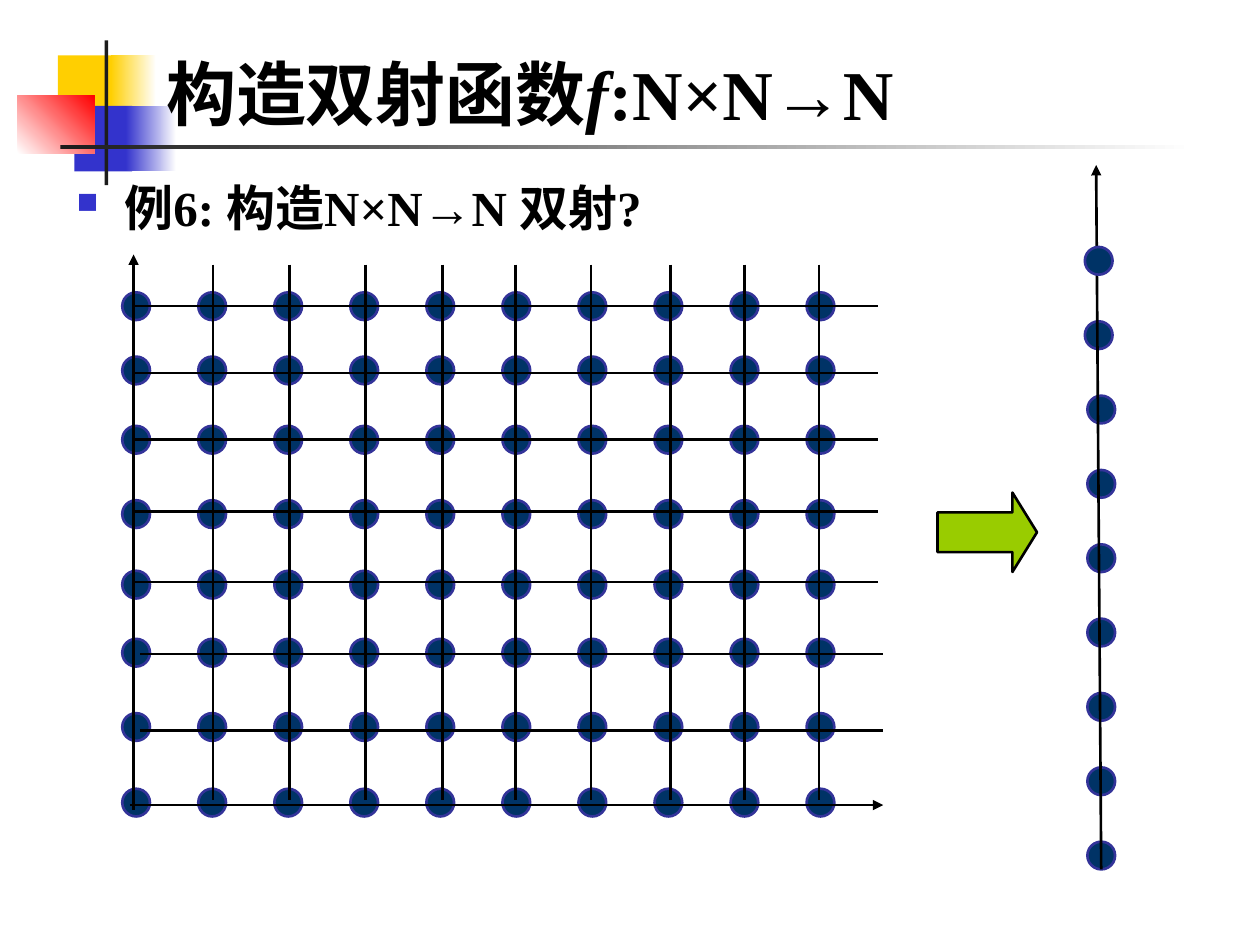
"""Build a slide on constructing a bijection from N×N to N."""
import dataclasses
import itertools
import typing

import lxml.etree
import pptx
import pptx.dml.color
import pptx.enum.shapes
import pptx.enum.text
import pptx.oxml.ns
import pptx.util

Inches = pptx.util.Inches
Pt = pptx.util.Pt
RGB = pptx.dml.color.RGBColor.from_string
qn = pptx.oxml.ns.qn
MSO = pptx.enum.shapes.MSO_SHAPE
Shapes = typing.Any


@dataclasses.dataclass(frozen=True)
class Theme:
    font: str = "Times New Roman"
    title_size: float = 40
    body_size: float = 28
    line_width: float = 1.5
    ink: str = "000000"
    white: str = "FFFFFF"
    yellow: str = "FFCF01"
    blue: str = "3333CC"
    red: str = "FF0000"
    bar: str = "1C1C1C"
    dot: str = "003366"
    dot_edge: str = "333399"
    arrow: str = "99CC00"


class Block(typing.NamedTuple):
    left: float
    top: float
    width: float
    height: float
    colors: tuple[str, ...]
    angle: float = 0


class Segment(typing.NamedTuple):
    x1: float
    y1: float
    x2: float
    y2: float
    arrow: bool = False


class Piece(typing.NamedTuple):
    text: str
    italic: bool = False


THEME = Theme()
DOT_SIZE = 0.22
COLUMNS = [1.08 + 0.6035 * i for i in range(10)]
ROWS = [2.43, 2.94, 3.49, 4.08, 4.64, 5.18, 5.77, 6.37]

DECORATION = [
    Block(0.46, 0.44, 0.48, 0.52, (THEME.yellow,)),
    Block(0.88, 0.44, 0.36, 0.52, (THEME.yellow, THEME.white)),
    Block(0.59, 0.84, 0.46, 0.52, (THEME.blue,)),
    Block(1, 0.84, 0.4, 0.52, (THEME.blue, THEME.white)),
    Block(0.14, 0.76, 0.61, 0.46, (THEME.white, THEME.red), 45),
    Block(0.83, 0.32, 0.03, 1.15, (THEME.bar,)),
    Block(0.48, 1.15, 9, 0.03, (THEME.bar, THEME.white)),
]
AXES = [Segment(1.06, 6.43, 1.06, 2.02, True), Segment(1.03, 6.39, 7.01, 6.39, True)]
HORIZONTALS = [Segment(1.11, y, 7.01, y) for y in (5.8, 5.19)] + [
    Segment(1.06, y, 6.97, y) for y in (4.62, 4.06, 3.49, 2.96, 2.43)
]
VERTICALS = [
    Segment(x, 2.1, x, 6.35) for x in (1.69, 2.3, 2.9, 3.51, 4.09, 4.69, 5.32, 5.91, 6.5)
]
NUMBER_LINE = Segment(8.74, 6.9, 8.7, 1.31, True)


def set_all(target: typing.Any, values: dict[str, typing.Any]) -> None:
    for name, value in values.items():
        setattr(target, name, value)


def add_figure(shapes: Shapes, kind: MSO, block: Block, edge: str | None = None) -> typing.Any:
    sp = shapes.add_shape(kind, *map(Inches, block[:4]))
    sp.shadow.inherit = False
    if len(block.colors) == 1:
        sp.fill.solid()
        sp.fill.fore_color.rgb = RGB(block.colors[0])
    else:
        sp.fill.gradient()
        sp.fill.gradient_angle = block.angle
        for stop, color in zip(sp.fill.gradient_stops, block.colors):
            stop.color.rgb = RGB(color)
    if edge:
        sp.line.color.rgb = RGB(edge)
        sp.line.width = Pt(THEME.line_width)
    else:
        sp.line.fill.background()
    return sp


def add_dot(shapes: Shapes, x: float, y: float) -> None:
    r = DOT_SIZE / 2
    block = Block(x - r, y - r, DOT_SIZE, DOT_SIZE, (THEME.dot,))
    add_figure(shapes, MSO.OVAL, block, THEME.dot_edge)


def add_segment(shapes: Shapes, segment: Segment) -> None:
    kind = pptx.enum.shapes.MSO_CONNECTOR.STRAIGHT
    cx = shapes.add_connector(kind, *map(Inches, segment[:4]))
    cx.line.color.rgb = RGB(THEME.ink)
    cx.line.width = Pt(THEME.line_width)
    spPr = cx._element.spPr
    if segment.arrow:
        lxml.etree.SubElement(spPr.find(qn("a:ln")), qn("a:tailEnd"), type="triangle")
    lxml.etree.SubElement(spPr, qn("a:effectLst"))


def add_text(shapes: Shapes, box: tuple[float, ...], pieces: list[Piece], size: float,
             anchor: str) -> typing.Any:
    tf = shapes.add_textbox(*map(Inches, box)).text_frame
    set_all(tf, {"word_wrap": True,
                 "vertical_anchor": pptx.enum.text.MSO_ANCHOR[anchor]})
    p = tf.paragraphs[0]
    for piece in pieces:
        r = p.add_run()
        r.text = piece.text
        set_all(r.font, {"name": THEME.font, "size": Pt(size), "bold": True,
                         "italic": piece.italic})
        r.font.color.rgb = RGB(THEME.ink)
    return p


def add_bullet(p: typing.Any) -> None:
    set_all(p, {"line_spacing": 1.1, "space_before": Pt(7)})
    pPr = p._p.get_or_add_pPr()
    pPr.set("marL", str(Inches(0.38)))
    pPr.set("indent", str(Inches(-0.38)))
    color = lxml.etree.SubElement(pPr, qn("a:buClr"))
    lxml.etree.SubElement(color, qn("a:srgbClr"), val=THEME.blue)
    lxml.etree.SubElement(pPr, qn("a:buSzPct"), val="60000")
    lxml.etree.SubElement(pPr, qn("a:buChar"), char="■")


def main() -> None:
    prs = pptx.Presentation()
    set_all(prs, {"slide_width": Inches(10), "slide_height": Inches(7.5)})
    s = prs.slides.add_slide(prs.slide_layouts[6])

    for block in DECORATION:
        add_figure(s.shapes, MSO.RECTANGLE, block)
    title = [Piece("构造双射函数"), Piece("f", True), Piece(":N×N→N")]
    add_text(s.shapes, (1.22, 0.28, 8.52, 0.84), title, THEME.title_size, "BOTTOM")
    example = [Piece("例6: 构造N×N→N 双射?")]
    add_bullet(add_text(s.shapes, (0.51, 1.31, 9.13, 5.43), example, THEME.body_size, "TOP"))

    lattice = s.shapes.add_group_shape().shapes
    for y, x in itertools.product(ROWS, COLUMNS):
        add_dot(lattice, x, y)
    for segment in AXES + HORIZONTALS + VERTICALS:
        add_segment(lattice, segment)

    sequence = s.shapes.add_group_shape().shapes
    for i in range(1, 9):
        add_dot(sequence, 8.72 if i == 1 else 8.74, 2.07 + 0.59 * i)
    add_segment(sequence, NUMBER_LINE)
    add_dot(sequence, 8.72, 2.07)

    arrow = Block(7.44, 3.91, 0.79, 0.63, (THEME.arrow,))
    sp = add_figure(s.shapes, MSO.RIGHT_ARROW, arrow, THEME.ink)
    sp.adjustments[1] = 0.31
    prs.save("out.pptx")


if __name__ == "__main__":
    main()
